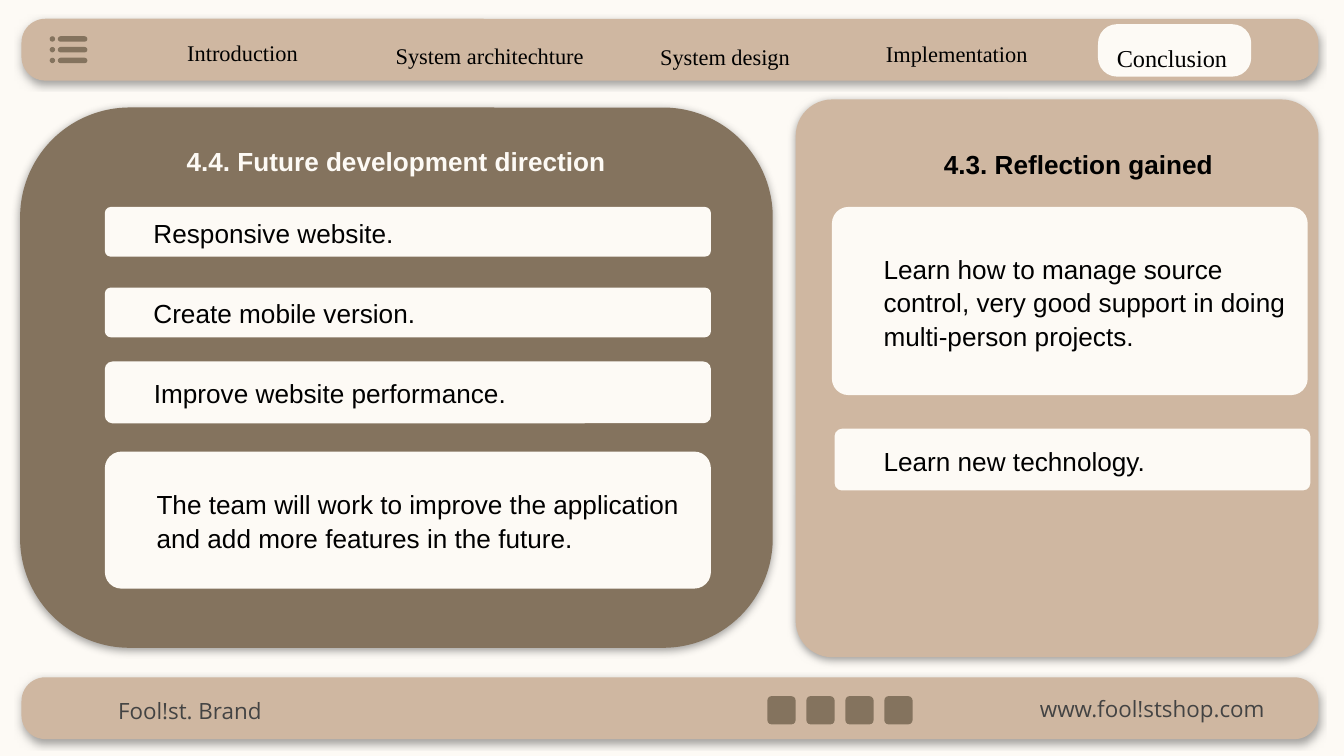
from dataclasses import dataclass

from lxml import etree
from pptx import Presentation
from pptx import util as u
from pptx.dml.color import RGBColor
from pptx.enum import shapes, text
from pptx.oxml.ns import qn


@dataclass(frozen=True)
class Theme:
    cream: str = "FDFAF5"
    sand: str = "CFB7A1"
    brown: str = "84735E"
    grey: str = "434343"
    black: str = "000000"
    body_font: str = "Arial"
    nav_font: str = "Times New Roman"
    footer_font: str = "Open Sans"
    body_size: int = 14
    active_size: int = 13
    small_size: int = 12
    line_spacing: float = 1.07


@dataclass(frozen=True)
class Area:
    left: float
    top: float
    width: float
    height: float

    def lengths(self) -> list:
        return [u.Inches(v) for v in (self.left, self.top, self.width, self.height)]


@dataclass(frozen=True)
class Panel:
    area: Area
    corner: float
    fill: str


@dataclass(frozen=True)
class Card:
    area: Area
    corner: float
    words: str


@dataclass(frozen=True)
class Label:
    area: Area
    words: str


@dataclass(frozen=True)
class Style:
    font: str
    size: int
    color: str
    bold: bool = False
    align: text.PP_ALIGN = text.PP_ALIGN.LEFT
    anchor: text.MSO_ANCHOR = text.MSO_ANCHOR.MIDDLE
    indent: float = 0
    spacing: float = 1.0
    inset_top: float = 0.1
    inset_bottom: float = 0.1


THEME = Theme()
SHAPE = shapes.MSO_SHAPE
CENTER = text.PP_ALIGN.CENTER
TOP = text.MSO_ANCHOR.TOP

# Text styles
CARD = Style(THEME.body_font, THEME.body_size, THEME.black,
             indent=0.25, spacing=THEME.line_spacing)
LEFT_HEADING = Style(THEME.body_font, THEME.body_size, THEME.cream, True, anchor=TOP,
                     indent=0.25, spacing=THEME.line_spacing,
                     inset_top=0.05, inset_bottom=0.05)
RIGHT_HEADING = Style(THEME.body_font, THEME.body_size, THEME.black, True, CENTER, TOP,
                      0.25, THEME.line_spacing, 0.05, 0.05)
NAV = Style(THEME.nav_font, THEME.small_size, THEME.black, align=CENTER,
            spacing=THEME.line_spacing)
ACTIVE_NAV = Style(THEME.nav_font, THEME.active_size, THEME.black,
                   spacing=THEME.line_spacing, inset_bottom=0)
BRAND = Style(THEME.footer_font, THEME.small_size, THEME.grey)
ADDRESS = Style(THEME.footer_font, THEME.small_size, THEME.grey, align=CENTER)

# Content
PANELS = [
    Panel(Area(0.16, 0.14, 9.65, 0.46), 0.385, THEME.sand),
    Panel(Area(0.16, 5.04, 9.65, 0.46), 0.385, THEME.sand),
    Panel(Area(5.92, 0.74, 3.89, 4.15), 0.07, THEME.sand),
    Panel(Area(0.15, 0.8, 5.6, 4.02), 0.203, THEME.brown),
]
CARDS = [
    Card(Area(6.19, 1.54, 3.54, 1.4), 0.088,
         "Learn how to manage source control, very good support in doing "
         "multi-person projects."),
    Card(Area(6.21, 3.19, 3.54, 0.46), 0.122, "Learn new technology."),
    Card(Area(0.78, 1.54, 4.51, 0.37), 0.122, "Responsive website."),
    Card(Area(0.78, 2.14, 4.51, 0.37), 0.122, "Create mobile version."),
    Card(Area(0.78, 2.69, 4.51, 0.46), 0.122, "Improve website performance."),
    Card(Area(0.78, 3.36, 4.51, 1.02), 0.122,
         "The team will work to improve the application and add more features "
         "in the future."),
]
NAV_LABELS = [
    Label(Area(1.11, 0.24, 1.39, 0.29), "Introduction"),
    Label(Area(2.63, 0.28, 2.03, 0.25), "System architechture"),
    Label(Area(4.62, 0.27, 1.55, 0.29), "System design"),
    Label(Area(6.3, 0.27, 1.64, 0.24), "Implementation"),
]


def add_figure(page, kind: shapes.MSO_SHAPE, area: Area, fill: str,
               corner: float | None = None):
    figure = page.shapes.add_shape(kind, *area.lengths())
    figure.shadow.inherit = False
    figure.fill.solid()
    figure.fill.fore_color.rgb = RGBColor.from_string(fill)
    figure.line.fill.background()
    if corner is not None:
        figure.adjustments[0] = corner
    return figure


def add_shadow(figure) -> None:
    effects = figure._element.spPr.find(qn("a:effectLst"))
    shadow = etree.SubElement(effects, qn("a:outerShdw"), blurRad=str(u.Pt(4.5)),
                              dist=str(u.Pt(1.5)), dir="5400000",
                              algn="bl", rotWithShape="0")
    color = etree.SubElement(shadow, qn("a:srgbClr"), val=THEME.grey)
    etree.SubElement(color, qn("a:alpha"), val="50000")


def write(box, words: str, style: Style) -> None:
    frame = box.text_frame
    frame.text = words
    frame.word_wrap = True
    frame.vertical_anchor = style.anchor
    frame.margin_left = frame.margin_right = u.Inches(0.1)
    frame.margin_top = u.Inches(style.inset_top)
    frame.margin_bottom = u.Inches(style.inset_bottom)
    para = frame.paragraphs[0]
    para.alignment = style.align
    para.line_spacing = style.spacing
    properties = para._p.get_or_add_pPr()
    properties.set("marL", str(u.Inches(style.indent)))
    properties.set("indent", "0")
    for span in para.runs:
        span.font.name = style.font
        span.font.size = u.Pt(style.size)
        span.font.bold = style.bold
        span.font.color.rgb = RGBColor.from_string(style.color)


def add_label(page, label: Label, style: Style) -> None:
    write(page.shapes.add_textbox(*label.area.lengths()), label.words, style)


def add_menu_icon(page) -> None:
    for row in range(3):
        top = 0.27 + 0.08 * row
        add_figure(page, SHAPE.ROUNDED_RECTANGLE, Area(0.43, top, 0.22, 0.04),
                   THEME.brown, 0.5)
        add_figure(page, SHAPE.OVAL, Area(0.37, top, 0.04, 0.04), THEME.brown)


def main() -> None:
    # Widescreen page, 16:9
    deck = Presentation()
    deck.slide_width = u.Inches(10)
    deck.slide_height = u.Inches(10 * 9 / 16)
    page = deck.slides.add_slide(deck.slide_layouts[6])
    page.background.fill.solid()
    page.background.fill.fore_color.rgb = RGBColor.from_string(THEME.cream)

    # Bars and panels
    for panel in PANELS:
        add_shadow(add_figure(page, SHAPE.ROUNDED_RECTANGLE, panel.area,
                              panel.fill, panel.corner))

    # Cards and headings
    for card in CARDS:
        box = add_figure(page, SHAPE.ROUNDED_RECTANGLE, card.area, THEME.cream, card.corner)
        write(box, card.words, CARD)
    add_label(page, Label(Area(1.04, 1.02, 5, 0.33), "4.4. Future development direction"),
              LEFT_HEADING)
    add_label(page, Label(Area(6.6, 1.04, 2.6, 0.33), "4.3. Reflection gained"),
              RIGHT_HEADING)

    # Navigation
    add_menu_icon(page)
    for label in NAV_LABELS:
        add_label(page, label, NAV)
    tab = add_figure(page, SHAPE.ROUNDED_RECTANGLE, Area(8.17, 0.18, 1.14, 0.39),
                     THEME.cream, 0.363)
    write(tab, "Conclusion", ACTIVE_NAV)

    # Footer
    add_label(page, Label(Area(0.78, 5.18, 1.85, 0.21), "Fool!st. Brand"), BRAND)
    add_label(page, Label(Area(7.56, 5.17, 2.03, 0.21), "www.fool!stshop.com"), ADDRESS)
    for column in range(4):
        add_figure(page, SHAPE.ROUNDED_RECTANGLE,
                   Area(5.71 + 0.29 * column, 5.18, 0.21, 0.21), THEME.brown, 0.15)

    deck.save("out.pptx")


if __name__ == "__main__":
    main()
